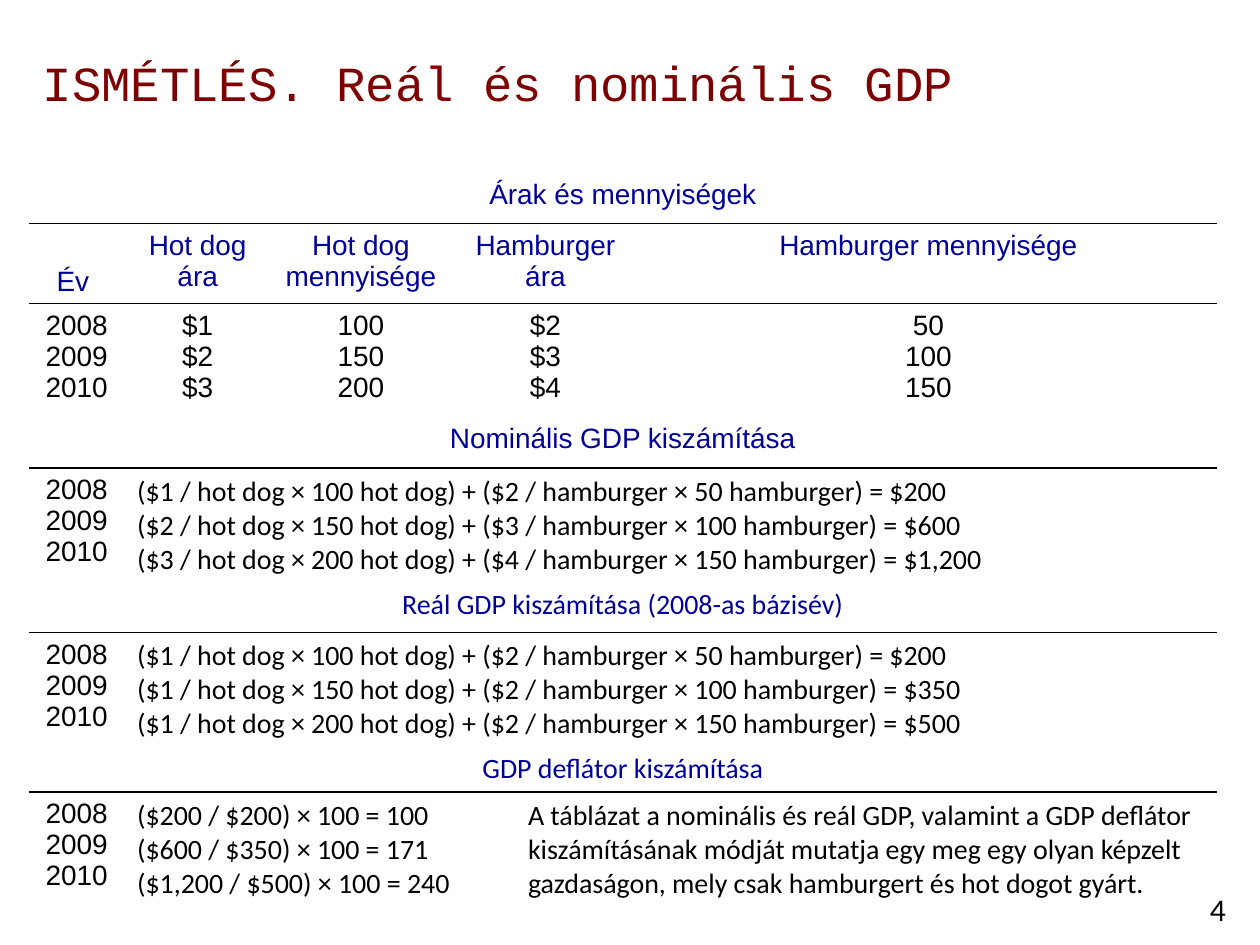
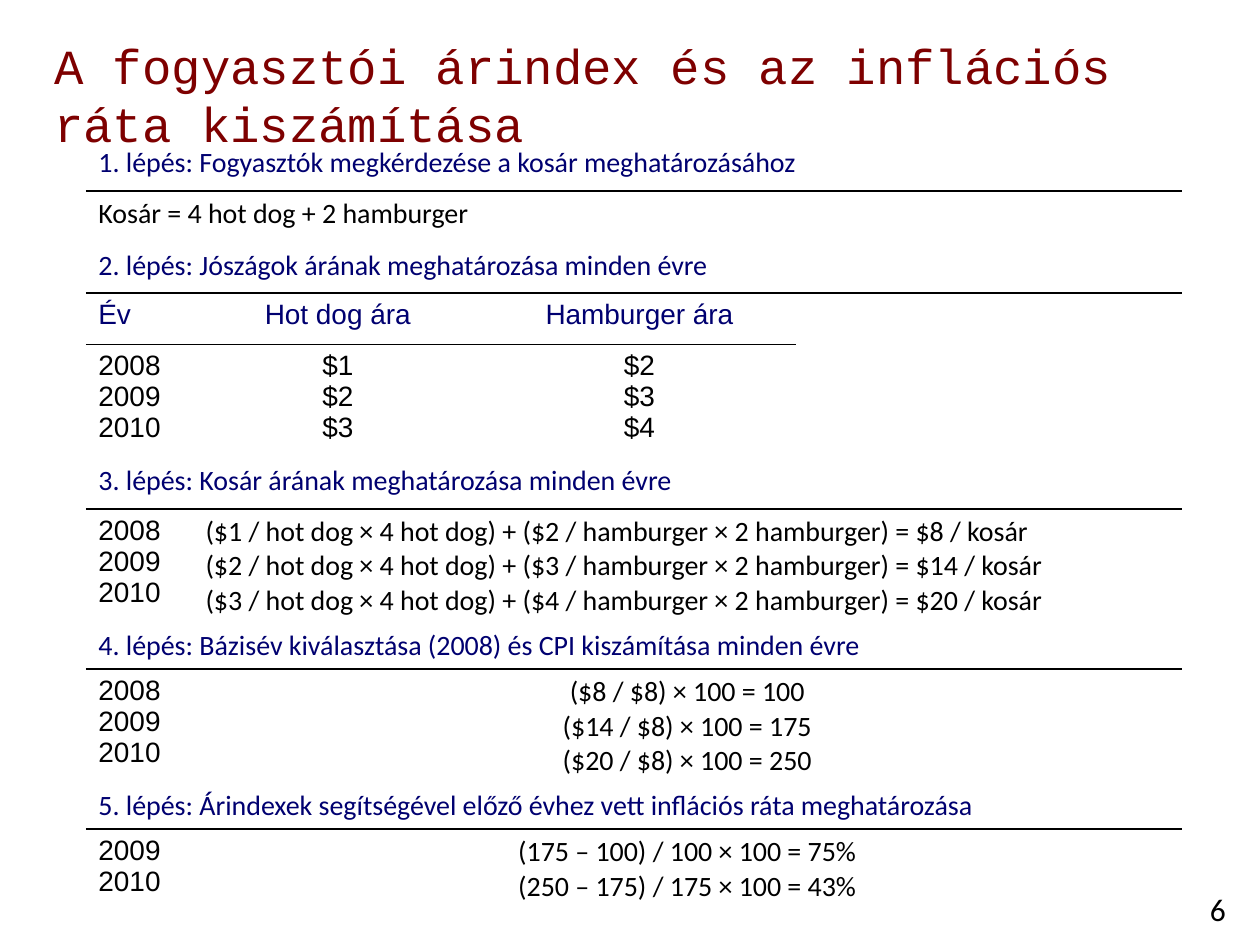
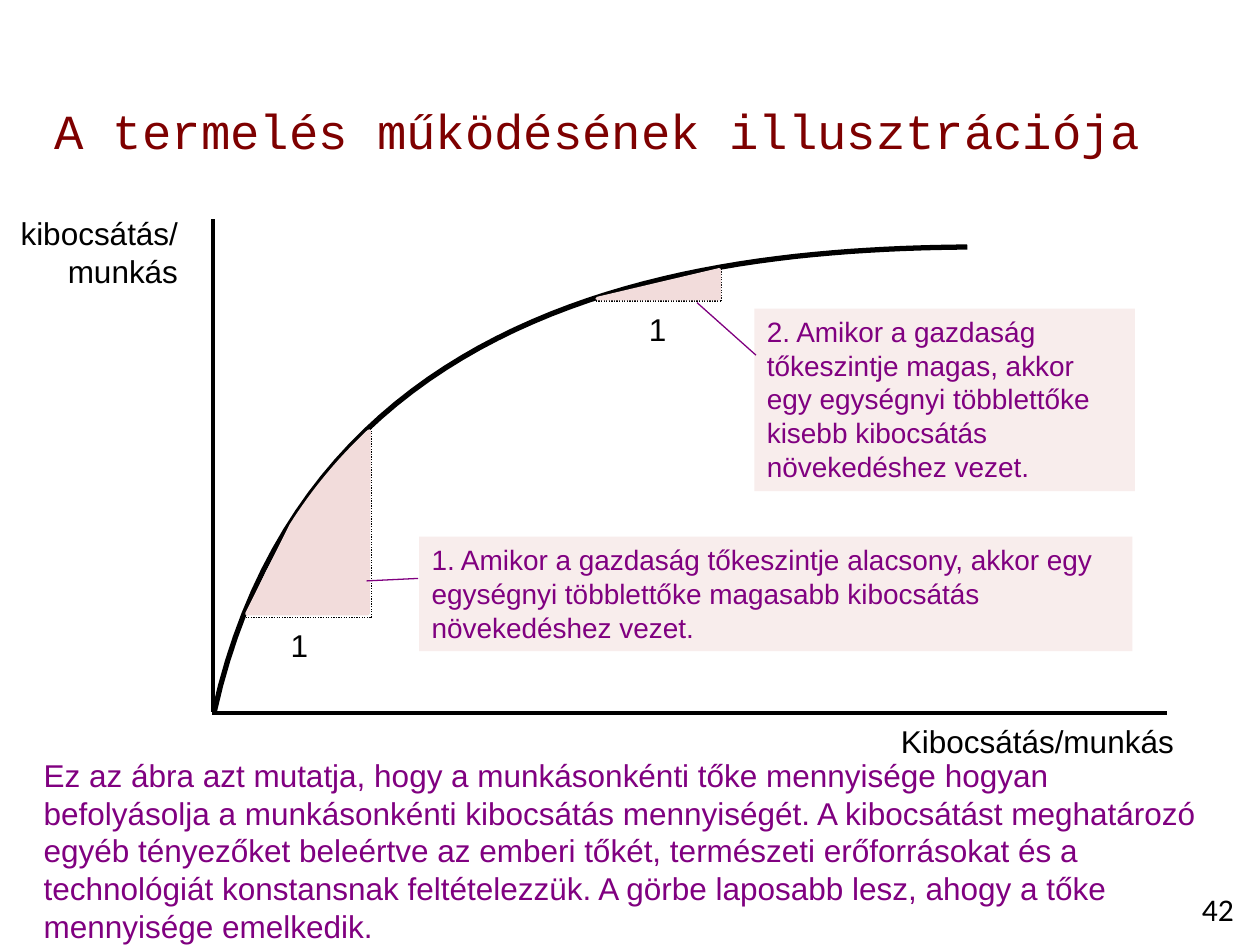
from lxml.etree import SubElement
from pptx import Presentation
from pptx.dml.color import RGBColor
from pptx.enum.dml import MSO_LINE_DASH_STYLE as Dash
from pptx.enum.shapes import MSO_CONNECTOR as Connector, MSO_SHAPE as Shape
from pptx.enum.text import MSO_ANCHOR as Anchor, MSO_AUTO_SIZE as AutoSize, PP_ALIGN as Align
from pptx.oxml import parse_xml
from pptx.oxml.ns import nsdecls, qn
from pptx.util import Cm, Pt

BLACK = RGBColor(0x00, 0x00, 0x00)
MAROON = RGBColor(0x7E, 0x00, 0x00)
BLUE = RGBColor(0x00, 0x00, 0x99)
NAVY = RGBColor(0x00, 0x00, 0x70)
PURPLE = RGBColor(0x80, 0x00, 0x80)
PINK = RGBColor(0xF2, 0xDC, 0xDB)
PALE_PINK = RGBColor(0xF8, 0xED, 0xEC)

PLAIN_TABLE_STYLE = "{2D5ABB26-0587-4C30-8999-92F81FD0307C}"
YEARS = "2008\n2009\n2010"


def write(frame, text, font="Arial", size=18, color=BLACK, align=Align.LEFT):
    for index, line in enumerate(text.split("\n")):
        para = frame.add_paragraph() if index else frame.paragraphs[0]
        para.alignment = align
        span = para.add_run()
        span.text = line
        span.font.name = font
        span.font.size = Pt(size)
        span.font.color.rgb = color


def add_text(page, text, left, top, width, height, wrap=True, **style):
    box = page.shapes.add_textbox(Cm(left), Cm(top), Cm(width), Cm(height))
    box.text_frame.word_wrap = wrap
    write(box.text_frame, text, **style)


def add_page(deck, title, number, left, top):
    page = deck.slides.add_slide(deck.slide_layouts[5])
    heading = page.shapes.title
    heading.left, heading.top = Cm(left), Cm(top)
    heading.width, heading.height = Cm(24.56), Cm(1.47)
    frame = heading.text_frame
    frame.auto_size = AutoSize.NONE
    frame.vertical_anchor = Anchor.TOP
    frame.word_wrap = True
    write(frame, title, font="Courier New", size=28, color=MAROON)
    add_text(page, number, 23.7, 17.82, 1.7, 1.02, font="Calibri", align=Align.CENTER)
    return page


def underline(cell):
    border = parse_xml(
        f'<a:lnB {nsdecls("a")} w="12700"><a:solidFill><a:srgbClr val="{BLACK}"/></a:solidFill></a:lnB>'
    )
    cell._tc.get_or_add_tcPr().insert(0, border)


def fill_cell(table, row, column, text, span=1, ruled=False, anchor=Anchor.TOP, **style):
    cell = table.cell(row, column)
    if span > 1:
        cell.merge(table.cell(row, column + span - 1))
    cell.vertical_anchor = anchor
    write(cell.text_frame, text, size=16, **style)
    if ruled:
        for offset in range(span):
            underline(table.cell(row, column + offset))


def add_plain_table(page, left, top, widths, heights):
    frame = page.shapes.add_table(
        len(heights), len(widths), Cm(left), Cm(top), Cm(sum(widths)), Cm(sum(heights))
    )
    table = frame.table
    table.first_row = table.horz_banding = False
    table._tbl.tblPr.find(qn("a:tableStyleId")).text = PLAIN_TABLE_STYLE
    for column, width in zip(table.columns, widths):
        column.width = Cm(width)
    for row, height in zip(table.rows, heights):
        row.height = Cm(height)
    for cell in table.iter_cells():
        cell.fill.background()
    return table


def add_line(page, start, end, color=BLACK, width=0.75, dash=None):
    line = page.shapes.add_connector(Connector.STRAIGHT, *map(Cm, start + end))
    line.line.color.rgb = color
    line.line.width = Pt(width)
    if dash:
        line.line.dash_style = dash
    SubElement(line._element.spPr, qn("a:effectLst"))


def paint(shape, fill=None, line=None, width=2):
    shape.shadow.inherit = False
    if fill is None:
        shape.fill.background()
    else:
        shape.fill.solid()
        shape.fill.fore_color.rgb = fill
    if line is None:
        shape.line.fill.background()
    else:
        shape.line.color.rgb = line
        shape.line.width = Pt(width)


def bezier(a, b, c, d, steps=48):
    points = []
    for step in range(steps + 1):
        t = step / steps
        weights = ((1 - t) ** 3, 3 * t * (1 - t) ** 2, 3 * t * t * (1 - t), t ** 3)
        points.append(tuple(sum(w * p[axis] for w, p in zip(weights, (a, b, c, d))) for axis in (0, 1)))
    return points


def add_outline(page, points, close=False, **colors):
    corners = [(Cm(x), Cm(y)) for x, y in points]
    builder = page.shapes.build_freeform(*corners[0])
    builder.add_line_segments(corners[1:], close=close)
    paint(builder.convert_to_shape(), **colors)


def add_unit_step(page, start, corner, end, label_left, label_top):
    add_line(page, start, corner, dash=Dash.ROUND_DOT)
    add_line(page, corner, end, dash=Dash.ROUND_DOT)
    add_text(page, "1", label_left, label_top, 0.86, 1.02, wrap=False)


def add_callout(page, text, left, top, width, height, start, end):
    box = page.shapes.add_shape(Shape.RECTANGLE, Cm(left), Cm(top), Cm(width), Cm(height))
    paint(box, fill=PALE_PINK)
    box.text_frame.word_wrap = True
    box.text_frame.vertical_anchor = Anchor.TOP
    write(box.text_frame, text, size=16, color=PURPLE)
    add_line(page, start, end, color=PURPLE)


def build_gdp_page(deck):
    page = add_page(deck, "ISMÉTLÉS. Reál és nominális GDP", "4", 0.61, 0.94)
    table = add_plain_table(
        page, 0.58, 3.48,
        [1.93, 2.95, 3.63, 1.3, 2.51, 11.63],
        [1.03, 1.56, 1.03, 1.03, 1.03, 1.03, 1.03, 0.51, 2.54],
    )
    headings = [
        (0, "Árak és mennyiségek", "Arial"),
        (3, "Nominális GDP kiszámítása", "Arial"),
        (5, "Reál GDP kiszámítása (2008-as bázisév)", "Calibri"),
        (7, "GDP deflátor kiszámítása", "Calibri"),
    ]
    for row, text, font in headings:
        fill_cell(table, row, 0, text, span=6, ruled=True, font=font, color=BLUE, align=Align.CENTER)

    goods = [
        (0, 1, "Év ", YEARS),
        (1, 1, "Hot dog ára", "$1\n$2\n$3"),
        (2, 1, "Hot dog mennyisége", "100\n150\n200"),
        (3, 2, "Hamburger ára", "$2\n$3\n$4"),
        (5, 1, "Hamburger mennyisége", "50\n100\n150"),
    ]
    for column, span, name, values in goods:
        anchor = Anchor.TOP if column else Anchor.BOTTOM
        fill_cell(table, 1, column, name, span=span, ruled=True, anchor=anchor, color=BLUE, align=Align.CENTER)
        fill_cell(table, 2, column, values, span=span, align=Align.CENTER)

    calculations = [
        (4, 5, "($1 / hot dog × 100 hot dog) + ($2 / hamburger × 50 hamburger) = $200\n"
               "($2 / hot dog × 150 hot dog) + ($3 / hamburger × 100 hamburger) = $600\n"
               "($3 / hot dog × 200 hot dog) + ($4 / hamburger × 150 hamburger) = $1,200"),
        (6, 5, "($1 / hot dog × 100 hot dog) + ($2 / hamburger × 50 hamburger) = $200\n"
               "($1 / hot dog × 150 hot dog) + ($2 / hamburger × 100 hamburger) = $350\n"
               "($1 / hot dog × 200 hot dog) + ($2 / hamburger × 150 hamburger) = $500"),
        (8, 3, "($200 / $200) × 100 = 100\n($600 / $350) × 100 = 171\n($1,200 / $500) × 100 = 240"),
    ]
    for row, span, text in calculations:
        fill_cell(table, row, 0, YEARS, align=Align.CENTER)
        fill_cell(table, row, 1, text, span=span, font="Calibri")
    fill_cell(
        table, 8, 4,
        "A táblázat a nominális és reál GDP, valamint a GDP deflátor kiszámításának módját mutatja "
        "egy meg egy olyan képzelt gazdaságon, mely csak hamburgert és hot dogot gyárt.",
        span=2, font="Calibri",
    )


def build_price_index_page(deck):
    page = add_page(deck, "A fogyasztói árindex és az inflációs ráta kiszámítása", "6", 0.84, 0.58)
    table = add_plain_table(
        page, 1.73, 2.82,
        [2.16, 5.84, 6.32, 7.77],
        [1.03, 1.03, 1.03, 1.03, 2.27, 1.03, 2.27, 0.94, 2.27, 0.94, 1.6],
    )
    steps = [
        (0, "Fogyasztók megkérdezése a kosár meghatározásához"),
        (2, "Jószágok árának meghatározása minden évre"),
        (5, "Kosár árának meghatározása minden évre"),
        (7, "Bázisév kiválasztása (2008) és CPI kiszámítása minden évre"),
        (9, "Árindexek segítségével előző évhez vett inflációs ráta meghatározása"),
    ]
    for number, (row, text) in enumerate(steps, 1):
        fill_cell(table, row, 0, f"{number}. lépés: {text}", span=4, ruled=True, font="Calibri", color=NAVY)
    fill_cell(table, 1, 0, "Kosár = 4 hot dog + 2 hamburger", span=4, font="Calibri")

    prices = [
        ("Év", YEARS, Align.LEFT),
        ("Hot dog ára", "$1\n$2\n$3", Align.CENTER),
        ("Hamburger ára", "$2\n$3\n$4", Align.CENTER),
    ]
    for column, (name, values, align) in enumerate(prices):
        fill_cell(table, 3, column, name, ruled=True, color=NAVY, align=align)
        fill_cell(table, 4, column, values, align=align)

    calculations = [
        (6, YEARS, Align.LEFT,
         "($1 / hot dog × 4 hot dog) + ($2 / hamburger × 2 hamburger) = $8 / kosár\n"
         "($2 / hot dog × 4 hot dog) + ($3 / hamburger × 2 hamburger) = $14 / kosár\n"
         "($3 / hot dog × 4 hot dog) + ($4 / hamburger × 2 hamburger) = $20 / kosár"),
        (8, YEARS, Align.CENTER,
         "($8 / $8) × 100 = 100\n($14 / $8) × 100 = 175\n($20 / $8) × 100 = 250"),
        (10, "2009\n2010", Align.CENTER,
         "(175 – 100) / 100 × 100 = 75%\n(250 – 175) / 175 × 100 = 43%"),
    ]
    for row, years, align, text in calculations:
        fill_cell(table, row, 0, years)
        fill_cell(table, row, 1, text, span=3, font="Calibri", align=align)


def build_production_page(deck):
    page = add_page(deck, "A termelés működésének illusztrációja", "42", 0.84, 1.9)
    add_line(page, (4.29, 4.42), (4.29, 14.35), width=2.25)
    add_text(page, "kibocsátás/munkás", 0, 4.19, 3.84, 1.8, align=Align.RIGHT)
    add_line(page, (4.27, 14.38), (23.52, 14.38), width=2.25)
    add_text(page, "Kibocsátás/munkás", 17.91, 14.43, 6.1, 1.02)
    production = bezier((4.32, 14.35), (6.22, 5.82), (14.48, 5.03), (19.5, 4.98))
    add_outline(page, production, line=BLACK, width=3)
    add_text(
        page,
        "Ez az ábra azt mutatja, hogy a munkásonkénti tőke mennyisége hogyan befolyásolja a "
        "munkásonkénti kibocsátás mennyiségét. A kibocsátást meghatározó egyéb tényezőket beleértve "
        "az emberi tőkét, természeti erőforrásokat és a technológiát konstansnak feltételezzük. "
        "A görbe laposabb lesz, ahogy a tőke mennyisége emelkedik.",
        0.63, 15.11, 23.93, 4.11, color=PURPLE,
    )

    add_unit_step(page, (4.95, 12.45), (7.49, 12.45), (7.49, 8.51), 5.61, 12.5)
    arc = bezier((7.44, 8.69), (6.83, 9.27), (6.32, 9.88), (5.87, 10.59), steps=12)
    add_outline(page, [(4.98, 12.37), (7.42, 12.37)] + arc, close=True, fill=PINK, line=PINK)

    add_unit_step(page, (12.01, 6.07), (14.54, 6.07), (14.54, 5.41), 12.83, 6.12)
    wedge = page.shapes.add_shape(Shape.ISOSCELES_TRIANGLE, Cm(12.04), Cm(5.44), Cm(2.46), Cm(0.58))
    wedge.adjustments[0] = 1
    paint(wedge, fill=PINK, line=PINK)

    add_callout(
        page,
        "1. Amikor a gazdaság tőkeszintje alacsony, akkor egy egységnyi többlettőke magasabb "
        "kibocsátás növekedéshez vezet.",
        8.45, 10.82, 14.38, 2.31, (7.39, 11.71), (8.43, 11.66),
    )
    add_callout(
        page,
        "2. Amikor a gazdaság tőkeszintje magas, akkor egy egységnyi többlettőke kisebb "
        "kibocsátás növekedéshez vezet.",
        15.21, 6.22, 7.67, 3.68, (14.05, 6.1), (15.24, 7.16),
    )


def main():
    deck = Presentation()
    deck.slide_width, deck.slide_height = Cm(25.4), Cm(19.05)
    build_gdp_page(deck)
    build_price_index_page(deck)
    build_production_page(deck)
    deck.save("out.pptx")


if __name__ == "__main__":
    main()
